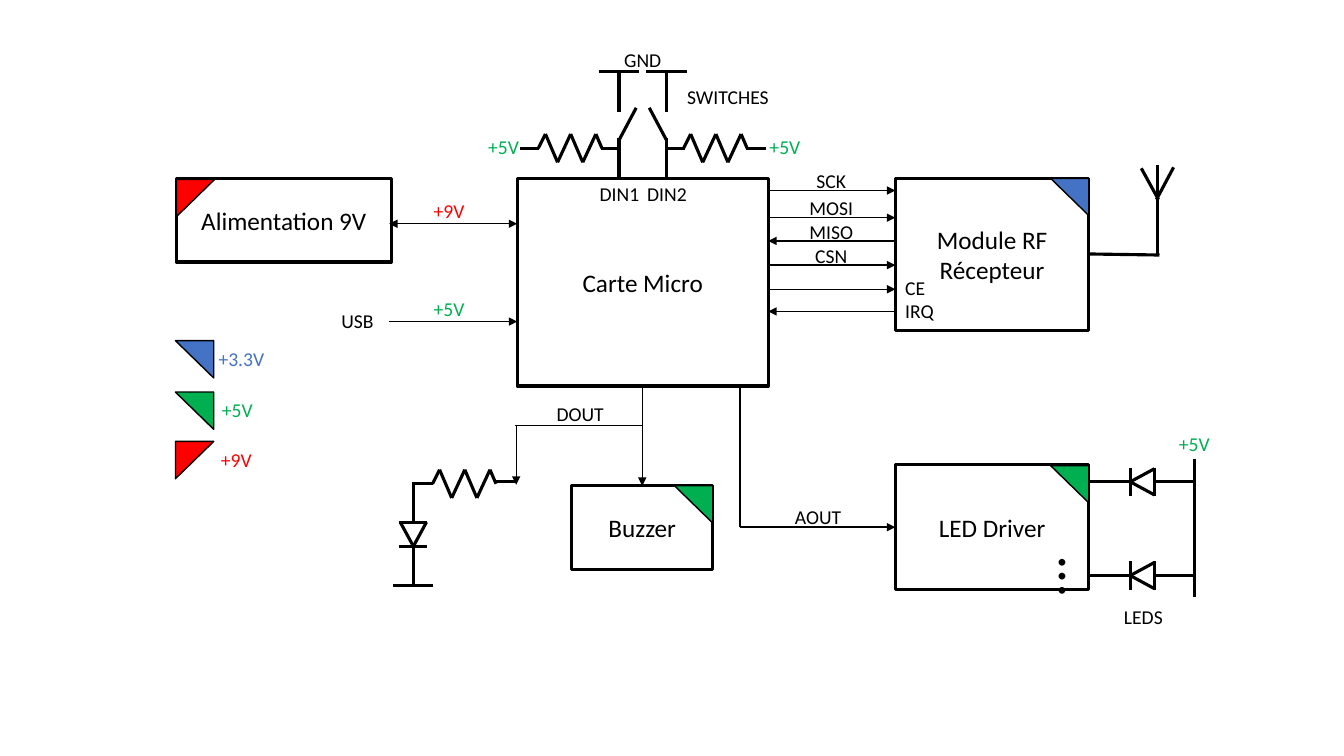
from itertools import pairwise

from lxml import etree
from pptx import Presentation
from pptx.dml.color import RGBColor
from pptx.enum.shapes import MSO_CONNECTOR, MSO_SHAPE
from pptx.enum.text import MSO_ANCHOR, PP_ALIGN
from pptx.oxml.ns import qn
from pptx.util import Pt

PX = 9144  # 100 px to the inch
STRAIGHT = MSO_CONNECTOR.STRAIGHT
RECT = MSO_SHAPE.RECTANGLE
CORNER = MSO_SHAPE.RIGHT_TRIANGLE
MIDDLE = MSO_ANCHOR.MIDDLE
LEFT, CENTER = PP_ALIGN.LEFT, PP_ALIGN.CENTER

BLACK, WHITE = "000000", "FFFFFF"
RED, GREEN, BLUE = "FF0000", "00B050", "4472C4"
THIN, THICK = 1, 2.25


def px(*nums):
    return [round(n * PX) for n in nums]


def paint(color, code):
    color.rgb = RGBColor.from_string(code)


def write(frame, text, size, code=BLACK, align=CENTER):
    frame.text = text
    frame.word_wrap = True
    for para in frame.paragraphs:
        para.alignment = align
        for run in para.runs:
            run.font.size = Pt(size)
            run.font.name = "Calibri"
            paint(run.font.color, code)


def form(slide, kind, area, fill, width):
    shape = slide.shapes.add_shape(kind, *px(*area))
    shape.shadow.inherit = False
    shape.fill.solid()
    paint(shape.fill.fore_color, fill)
    paint(shape.line.color, BLACK)
    shape.line.width = Pt(width)
    return shape


def block(slide, text, *area):
    shape = form(slide, RECT, area, WHITE, THICK)
    shape.text_frame.vertical_anchor = MIDDLE
    write(shape.text_frame, text, 18)


def flag(slide, x, y, code):
    """Corner triangle naming a supply; the 9 V one points left."""
    shape = form(slide, CORNER, (x, y, 38, 37), code, THIN)
    frame = shape.element.spPr.get_or_add_xfrm()
    frame.set("flipV", "1")
    if code != RED:
        frame.set("flipH", "1")


def label(slide, text, x, y, w, code=BLACK, align=CENTER):
    shape = slide.shapes.add_textbox(*px(x, y, w, 34))
    write(shape.text_frame, text, 14, code, align)


def line(slide, start, end, width=THICK, ends=()):
    """Straight line; ends holds headEnd and/or tailEnd, in that order."""
    wire = slide.shapes.add_connector(STRAIGHT, *px(*start, *end))
    paint(wire.line.color, BLACK)
    wire.line.width = Pt(width)
    stroke = wire.line._get_or_add_ln()
    for end_tag in ends:
        etree.SubElement(stroke, qn("a:" + end_tag)).set("type", "triangle")
    etree.SubElement(wire.element.spPr, qn("a:effectLst"))


def arrow(slide, start, end, ends=("tailEnd",)):
    line(slide, start, end, THIN, ends)


def zigzag(slide, x, y):
    """Resistor body, 63 px long."""
    steps = (0, 0), (7, -14), (19, 14), (32, -14), (44, 14), (57, -14), (63, 0)
    for start, end in pairwise((x + dx, y + dy) for dx, dy in steps):
        line(slide, start, end)


def diode(slide, x, y, ux, uy):
    """Diode with its tip at x, y and its back towards ux, uy."""
    def spot(along, side=0):
        return x + along * ux - side * uy, y + along * uy + side * ux

    for along in (0, 24):
        line(slide, spot(along, -14), spot(along, 14))
    for side in (-13, 13):
        line(slide, spot(24, side), spot(0))
    line(slide, spot(-40), spot(0))
    line(slide, spot(24), spot(63))


def switch(slide, x, side):
    line(slide, (x, 137), (x, 177))
    line(slide, (x + 17 * side, 107), (x, 139))
    line(slide, (x, 71), (x, 111))
    line(slide, (x - 20, 71), (x + 20, 71))


def inputs(slide):
    for x, side in ((614, 1), (661, -1)):
        switch(slide, x, side)
    for x in (534, 678):
        zigzag(slide, x, 147)
        line(slide, (x - 18, 147), (x + 1, 147))
        line(slide, (x + 62, 147), (x + 82, 147))
    for x in (470, 749):
        label(slide, "+5V", x, 129, 59, GREEN)
    label(slide, "DIN1", 583, 176, 63)
    label(slide, "DIN2", 630, 176, 63)
    label(slide, "GND", 608, 43, 59)
    label(slide, "SWITCHES", 665, 79, 114)


def radio(slide):
    pins = ((189, "tailEnd"), (216, "tailEnd"), (239, "headEnd"),
            (263, "tailEnd"), (287, "tailEnd"), (309, "headEnd"))
    for y, end in pins:
        arrow(slide, (762, y), (888, y), (end,))
    for text, y in (("SCK", 163), ("MOSI", 189), ("MISO", 213), ("CSN", 237)):
        label(slide, text, 788, y, 73)
    label(slide, "CE", 888, 269, 42, align=LEFT)
    label(slide, "IRQ", 888, 292, 50, align=LEFT)
    line(slide, (1148, 164), (1148, 252))
    line(slide, (1081, 252), (1150, 253))
    line(slide, (1164, 166), (1147, 198))
    line(slide, (1132, 167), (1149, 198))


def power(slide):
    arrow(slide, (386, 222), (513, 222), ("headEnd", "tailEnd"))
    arrow(slide, (386, 319), (513, 319))
    label(slide, "+9V", 416, 192, 59, RED)
    label(slide, "+5V", 416, 290, 59, GREEN)
    label(slide, "USB", 325, 302, 59)
    legend = (("+3.3V", 338, 203, 73, BLUE), ("+5V", 389, 206, 59, GREEN),
              ("+9V", 438, 205, 59, RED))
    for text, y, x, w, code in legend:
        flag(slide, 174, y, code)
        label(slide, text, x, y + 1, w, code)


def outputs(slide):
    arrow(slide, (637, 383), (637, 482))
    line(slide, (511, 422), (638, 422), THIN)
    arrow(slide, (512, 422), (512, 481))
    label(slide, "DOUT", 539, 394, 73)
    line(slide, (409, 480), (429, 480))
    zigzag(slide, 429, 480)
    line(slide, (491, 478), (511, 478))
    diode(slide, 410, 542, 0, -1)
    line(slide, (390, 581), (429, 581))
    line(slide, (734, 383), (734, 523), THIN)
    arrow(slide, (734, 523), (888, 523))
    label(slide, "AOUT", 775, 496, 73)


def leds(slide):
    for y in (478, 571):
        diode(slide, 1121, y, 1, 0)
    line(slide, (1185, 455), (1185, 592))
    label(slide, "+5V", 1155, 424, 59, GREEN)
    label(slide, "LEDS", 1103, 595, 62)
    dots = slide.shapes.add_textbox(*px(1053, 534, 41, 77))
    dots.rotation = 90
    frame = dots.text_frame
    frame.margin_left = frame.margin_right = 0
    frame.margin_top = frame.margin_bottom = 0
    frame.vertical_anchor = MIDDLE
    write(frame, "…", 40)


def main():
    deck = Presentation()
    deck.slide_width, deck.slide_height = px(1333, 750)
    slide = deck.slides.add_slide(deck.slide_layouts[6])
    block(slide, "Carte Micro", 513, 177, 249, 206)
    block(slide, "Module RF\nRécepteur", 888, 177, 192, 151)
    block(slide, "Buzzer", 567, 482, 140, 83)
    block(slide, "LED Driver", 888, 461, 192, 124)
    block(slide, "Alimentation 9V", 175, 177, 213, 83)
    corners = ((1042, 462, GREEN), (669, 482, GREEN),
               (1042, 177, BLUE), (175, 178, RED))
    for x, y, code in corners:
        flag(slide, x, y, code)
    for part in (radio, inputs, power, outputs, leds):
        part(slide)
    deck.save("out.pptx")


if __name__ == "__main__":
    main()
